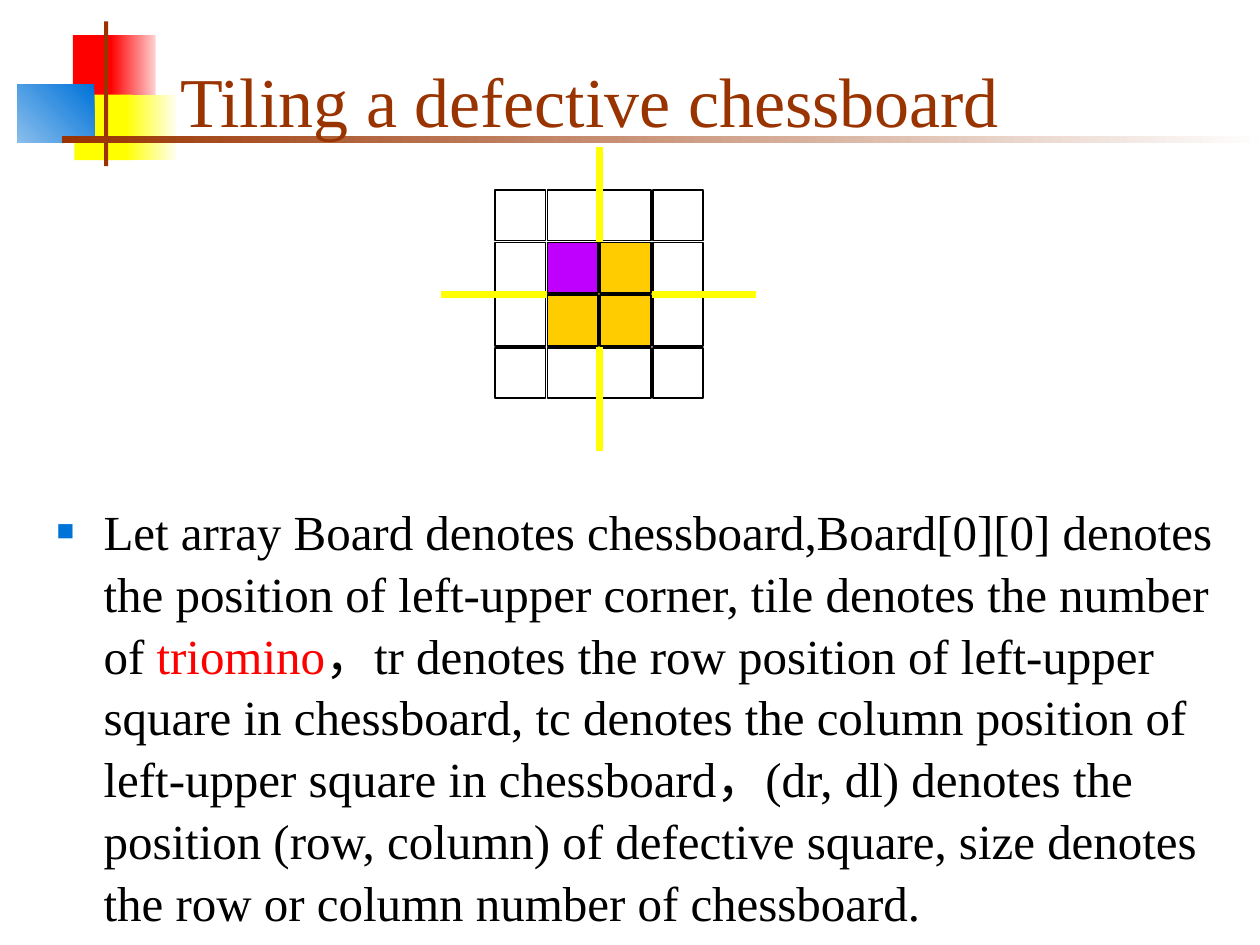
from lxml.etree import SubElement
from pptx import Presentation
from pptx.dml.color import RGBColor
from pptx.enum.shapes import MSO_CONNECTOR as Link, MSO_SHAPE as Kind
from pptx.enum.text import MSO_ANCHOR as Anchor, MSO_AUTO_SIZE as Fit, PP_ALIGN as Align
from pptx.oxml.ns import qn
from pptx.util import Cm, Pt

WHITE = RGBColor(0xFF, 0xFF, 0xFF)
BLACK = RGBColor(0, 0, 0)
RED = RGBColor(0xFF, 0, 0)
PALE_RED = RGBColor(0xFE, 0xD0, 0xD0)
YELLOW = RGBColor(0xFF, 0xFF, 0)
PALE_YELLOW = RGBColor(0xFE, 0xFE, 0xEF)
BLUE = RGBColor(0, 0x73, 0xD9)
PALE_BLUE = RGBColor(0x8A, 0xBE, 0xEC)
BROWN = RGBColor(0x99, 0x33, 0)
OFF_WHITE = RGBColor(0xFE, 0xFE, 0xFE)
GOLD = RGBColor(0xFF, 0xCC, 0)
PURPLE = RGBColor(0xBF, 0, 0xFF)
FONT = "Times New Roman"


def add_block(shapes, left, top, width, height, *colors, angle=180, outline=None):
    block = shapes.add_shape(Kind.RECTANGLE, Cm(left), Cm(top), Cm(width), Cm(height))
    block.shadow.inherit = False
    if len(colors) == 1:
        block.fill.solid()
        block.fill.fore_color.rgb = colors[0]
    else:
        block.fill.gradient()
        block.fill.gradient_angle = angle
        for stop, color in zip(block.fill.gradient_stops, colors):
            stop.color.rgb = color
    if outline is None:
        block.line.fill.background()
    else:
        block.line.color.rgb = outline
        block.line.width = Pt(1)
    return block


def add_span(para, text, size=28, color=BLACK):
    span = para.add_run()
    span.text = text
    span.font.name = FONT
    span.font.size = Pt(size)
    span.font.color.rgb = color
    return span


def add_line(shapes, start, end, color, width):
    line = shapes.add_connector(Link.STRAIGHT, *map(Cm, start + end))
    line.line.color.rgb = color
    line.line.width = Pt(width)
    SubElement(line._element.spPr, qn("a:effectLst"))


def place(shape, left, top, width, height):
    shape.left, shape.top = Cm(left), Cm(top)
    shape.width, shape.height = Cm(width), Cm(height)


def add_ornament(shapes, left, top):
    add_block(shapes, left + 1.12, top + 0.28, 0.89, 1.32, RED)
    add_block(shapes, left + 1.88, top + 0.28, 0.91, 1.32, PALE_RED, RED)
    add_block(shapes, left + 1.15, top + 1.48, 1.17, 1.32, YELLOW)
    add_block(shapes, left + 2.18, top + 1.48, 1.02, 1.32, PALE_YELLOW, YELLOW)
    add_block(shapes, left, top + 1.27, 1.55, 1.17, BLUE, PALE_BLUE, angle=225)
    add_block(shapes, left + 1.75, top, 0.08, 2.92, BROWN)
    add_block(shapes, left + 0.91, top + 2.32, 24.13, 0.13, OFF_WHITE, BROWN)


def add_title(page, left, top, width, height):
    title = page.shapes.title
    place(title, left, top, width, height)
    frame = title.text_frame
    frame.auto_size = Fit.NONE
    frame.vertical_anchor = Anchor.BOTTOM
    para = frame.paragraphs[0]
    para.alignment = Align.LEFT
    add_span(para, "Tiling a defective chessboard", size=40, color=BROWN)
    page.shapes._spTree.append(title._element)


def add_chessboard(shapes, left, top, pitch=1.06, square=1.02):
    center = {(1, 1): PURPLE, (1, 2): GOLD, (2, 1): GOLD, (2, 2): GOLD}
    border = {(row, column): WHITE for row in range(4) for column in range(4)
              if (row, column) not in center}

    def add_squares(squares):
        group = shapes.add_group_shape()
        for (row, column), color in squares.items():
            add_block(group.shapes, left + column * pitch, top + row * pitch,
                      square, square, color, outline=BLACK)

    middle_x, middle_y = left + 2 * pitch - 0.02, top + 2 * pitch - 0.02
    add_squares(border)
    add_line(shapes, (middle_x, top - 0.86), (middle_x, top + 5.26), YELLOW, 4)
    add_line(shapes, (left - 1.08, middle_y), (left + 5.27, middle_y), YELLOW, 4)
    add_squares(center)


def add_bullet(para, indent, color, percent):
    props = para._p.get_or_add_pPr()
    props.set("marL", str(Cm(indent)))
    props.set("indent", str(-Cm(indent)))
    SubElement(SubElement(props, qn("a:buClr")), qn("a:srgbClr"), val=str(color))
    SubElement(props, qn("a:buSzPct"), val=str(percent * 1000))
    SubElement(props, qn("a:buFont"), typeface=FONT)
    SubElement(props, qn("a:buChar"), char="■")


def add_explanation(shapes, left, top, width, height):
    box = shapes.add_textbox(Cm(left), Cm(top), Cm(width), Cm(height))
    frame = box.text_frame
    frame.word_wrap = True
    para = frame.paragraphs[0]
    para.line_spacing = 1.05
    add_bullet(para, 0.95, BLUE, 60)
    add_span(para, "Let array Board denotes chessboard,Board[0][0] denotes the position of "
                   "left-upper corner, tile denotes the number of ")
    add_span(para, "triomino", color=RED)
    add_span(para, "，tr denotes the row position of left-upper square in chessboard, "
                   "tc denotes the column position of left-upper square in chessboard，"
                   "(dr, dl) denotes the position (row, column) of defective square, "
                   "size denotes the row or column number of chessboard.")


def main():
    deck = Presentation()
    deck.slide_width, deck.slide_height = Cm(25.4), Cm(19.05)
    page = deck.slides.add_slide(deck.slide_layouts[5])
    add_ornament(page.shapes, 0.35, 0.43)
    add_chessboard(page.shapes, 9.98, 3.83)
    add_title(page, 3.38, 0.64, 21.64, 2.34)
    add_explanation(page.shapes, 0.89, 9.93, 23.83, 8.61)
    deck.save("out.pptx")


if __name__ == "__main__":
    main()
